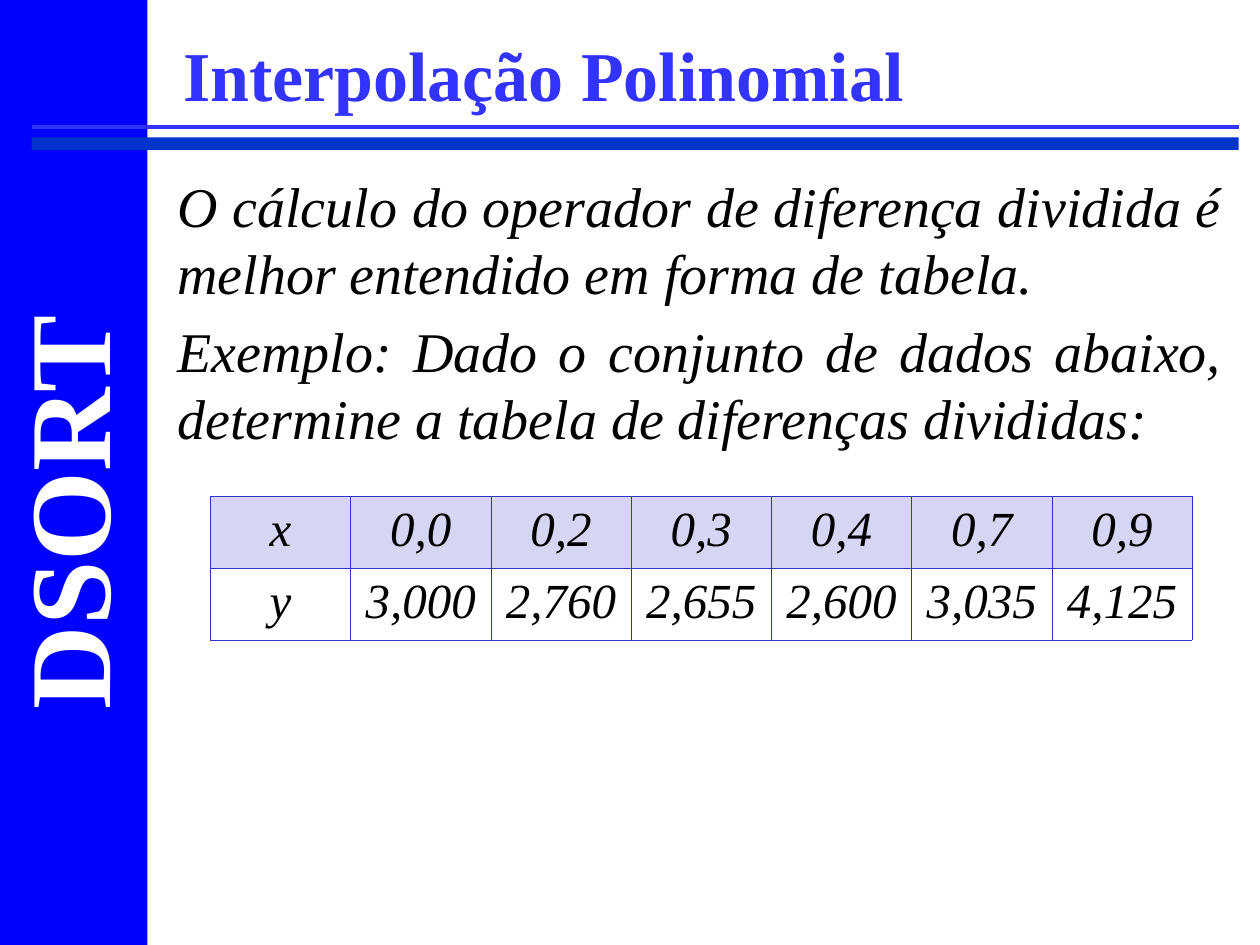
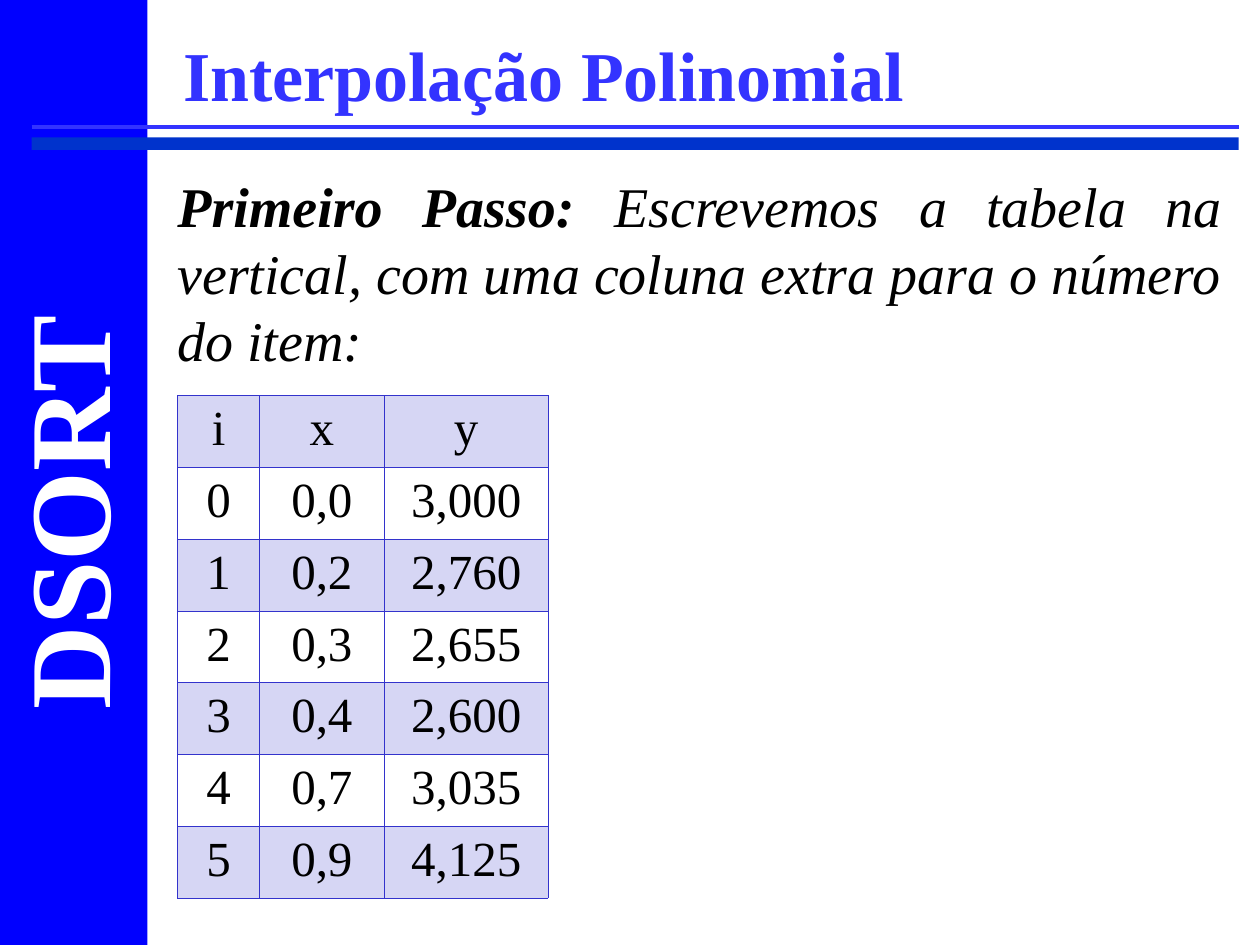
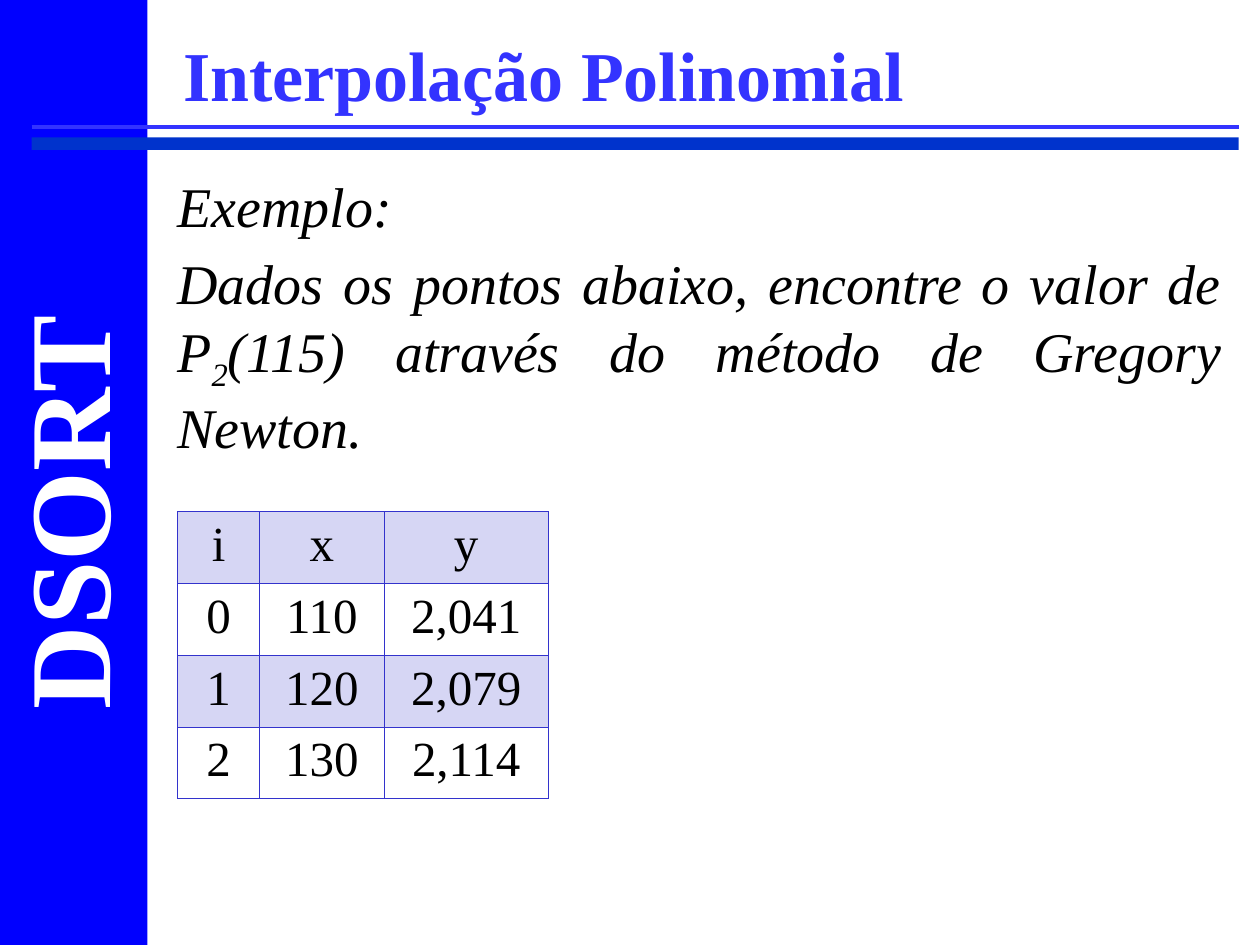
from dataclasses import dataclass

from lxml import etree
from pptx import Presentation
from pptx.dml.color import RGBColor
from pptx.enum import shapes, text
from pptx.oxml import ns
from pptx import util as u

# Grid: the slide is 100 columns wide and 75 rows high
COLUMNS, ROWS = 100, 75
WIDTH, HEIGHT = u.Inches(10), u.Inches(7.5)

FONT = "Times New Roman"
BAND_BLUE = RGBColor(0x00, 0x00, 0xFF)
BAR_BLUE = RGBColor(0x00, 0x33, 0xCC)
TITLE_BLUE = RGBColor(0x33, 0x33, 0xFF)
TABLE_BLUE = RGBColor(0x33, 0x33, 0xCC)
WHITE = RGBColor(0xFF, 0xFF, 0xFF)
BLACK = RGBColor(0x00, 0x00, 0x00)

TINT_PERCENT = 20
BORDER = u.Pt(0.45)
TABLE_ROW = 5.7
ITEM_COLUMNS = (6.5, 9.9, 13)


@dataclass
class Box:
    """A region measured in grid columns and rows."""
    left: float
    top: float
    width: float
    height: float

    def emu(self):
        across, down = WIDTH / COLUMNS, HEIGHT / ROWS
        return [round(size) for size in (self.left * across, self.top * down,
                                         self.width * across, self.height * down)]


SIDE_BAND = Box(0, 0, 11.7, 75)
SIDE_NAME = Box(-12.85, 33.25, 36, 12)
RULES = Box(2.5, 10.1, 95.8, 1.8)
TITLE = Box(13.55, 0.8, 84.9, 10)
BODY = Box(13.1, 13.1, 84.9, 59.1)

X_VALUES = ["0,0", "0,2", "0,3", "0,4", "0,7", "0,9"]
Y_VALUES = ["3,000", "2,760", "2,655", "2,600", "3,035", "4,125"]


def style(para, size, color, bold=False, italic=False):
    font = para.font
    font.name, font.size, font.bold, font.italic = FONT, u.Pt(size), bold, italic
    font.color.rgb = color


def add_bar(page, box, color):
    bar = page.shapes.add_shape(shapes.MSO_SHAPE.RECTANGLE, *box.emu())
    bar.shadow.inherit = False
    bar.fill.solid()
    bar.fill.fore_color.rgb = color
    bar.line.fill.background()


def add_label(page, box, words, size, color):
    label = page.shapes.add_textbox(*box.emu())
    frame = label.text_frame
    frame.word_wrap = True
    frame.text = words
    style(frame.paragraphs[0], size, color, bold=True)
    return label


def add_rules(page, box):
    """Thin line along the top of the box, thick bar along its bottom."""
    bar_height = 1
    add_bar(page, Box(box.left, box.top + box.height - bar_height,
                      box.width, bar_height), BAR_BLUE)
    left, top, width, _ = box.emu()
    line = page.shapes.add_connector(shapes.MSO_CONNECTOR.STRAIGHT,
                                     left, top, left + width, top)
    line.line.color.rgb = TITLE_BLUE
    line.line.width = u.Pt(2.25)
    etree.SubElement(line._element.spPr, ns.qn("a:effectLst"))


def add_frame(page):
    """Side band, rules and title shared by all slides."""
    add_bar(page, SIDE_BAND, BAND_BLUE)
    add_rules(page, RULES)

    name = add_label(page, SIDE_NAME, "DSORT", 66, WHITE)
    name.rotation = 270

    title = add_label(page, TITLE, "Interpolação Polinomial", 40, TITLE_BLUE)
    title.text_frame.vertical_anchor = text.MSO_ANCHOR.MIDDLE


def add_body(page, box, paragraphs):
    """Each paragraph is a list of (words, kind); kind is "", "bold" or "sub"."""
    frame = page.shapes.add_textbox(*box.emu()).text_frame
    frame.word_wrap = True
    for index, spans in enumerate(paragraphs):
        para = frame.add_paragraph() if index else frame.paragraphs[0]
        para.alignment = text.PP_ALIGN.JUSTIFY
        para.space_before = u.Pt(6)
        style(para, 32, BLACK, italic=True)
        for words, kind in spans:
            span = para.add_run()
            span.text = words
            if kind == "bold":
                span.font.bold = True
            elif kind == "sub":
                span._r.get_or_add_rPr().set("baseline", "-25000")


def paint_cell(cell, tinted):
    # Borders come before the fill in the cell properties
    properties = cell._tc.get_or_add_tcPr()
    for side in ("a:lnL", "a:lnR", "a:lnT", "a:lnB"):
        edge = etree.SubElement(properties, ns.qn(side), w=str(int(BORDER)))
        fill = etree.SubElement(edge, ns.qn("a:solidFill"))
        etree.SubElement(fill, ns.qn("a:srgbClr"), val=str(TABLE_BLUE))
    if not tinted:
        cell.fill.background()
        return
    cell.fill.solid()
    cell.fill.fore_color.rgb = TABLE_BLUE
    color = properties.find(ns.qn("a:solidFill")).find(ns.qn("a:srgbClr"))
    etree.SubElement(color, ns.qn("a:alpha"), val=str(TINT_PERCENT * 1000))


def add_grid(page, left, top, widths, rows, italic=False):
    """Table with every other row tinted, starting with the first."""
    box = Box(left, top, sum(widths), TABLE_ROW * len(rows))
    table = page.shapes.add_table(len(rows), len(widths), *box.emu()).table
    table.first_row = table.horz_banding = False
    for column, width in zip(table.columns, widths):
        column.width = round(width * WIDTH / COLUMNS)
    for row_index, values in enumerate(rows):
        for column_index, value in enumerate(values):
            cell = table.cell(row_index, column_index)
            cell.text = value
            para = cell.text_frame.paragraphs[0]
            para.alignment = text.PP_ALIGN.CENTER
            style(para, 28, BLACK, italic=italic)
            paint_cell(cell, tinted=row_index % 2 == 0)


def add_item_table(page, top, x_values, y_values):
    """Vertical table of points with a column for the item number."""
    points = [(str(item), x, y) for item, (x, y) in enumerate(zip(x_values, y_values))]
    add_grid(page, BODY.left + 1, top, ITEM_COLUMNS, [("i", "x", "y")] + points)


def add_page(deck, paragraphs):
    page = deck.slides.add_slide(deck.slide_layouts[6])
    add_frame(page)
    add_body(page, BODY, paragraphs)
    return page


def main():
    deck = Presentation()
    deck.slide_width, deck.slide_height = WIDTH, HEIGHT

    # Data set
    page = add_page(deck, [
        [("O cálculo do operador de diferença dividida é melhor entendido "
          "em forma de tabela.", "")],
        [("Exemplo: Dado o conjunto de dados abaixo, determine a tabela de "
          "diferenças divididas:", "")],
    ])
    rows = [["x"] + X_VALUES, ["y"] + Y_VALUES]
    add_grid(page, 16.7, 39.4, [11.13] * len(rows[0]), rows, italic=True)

    # First step
    page = add_page(deck, [
        [("Primeiro Passo: ", "bold"),
         ("Escrevemos a tabela na vertical, com uma coluna extra para o "
          "número do item:", "")],
    ])
    add_item_table(page, 31.4, X_VALUES, Y_VALUES)

    # Exercise
    page = add_page(deck, [
        [("Exemplo:", "")],
        [("Dados os pontos abaixo, encontre o valor de P", ""), ("2", "sub"),
         ("(115) através do método de Gregory Newton.", "")],
    ])
    add_item_table(page, 40.6, ["110", "120", "130"], ["2,041", "2,079", "2,114"])

    deck.save("out.pptx")


if __name__ == "__main__":
    main()
